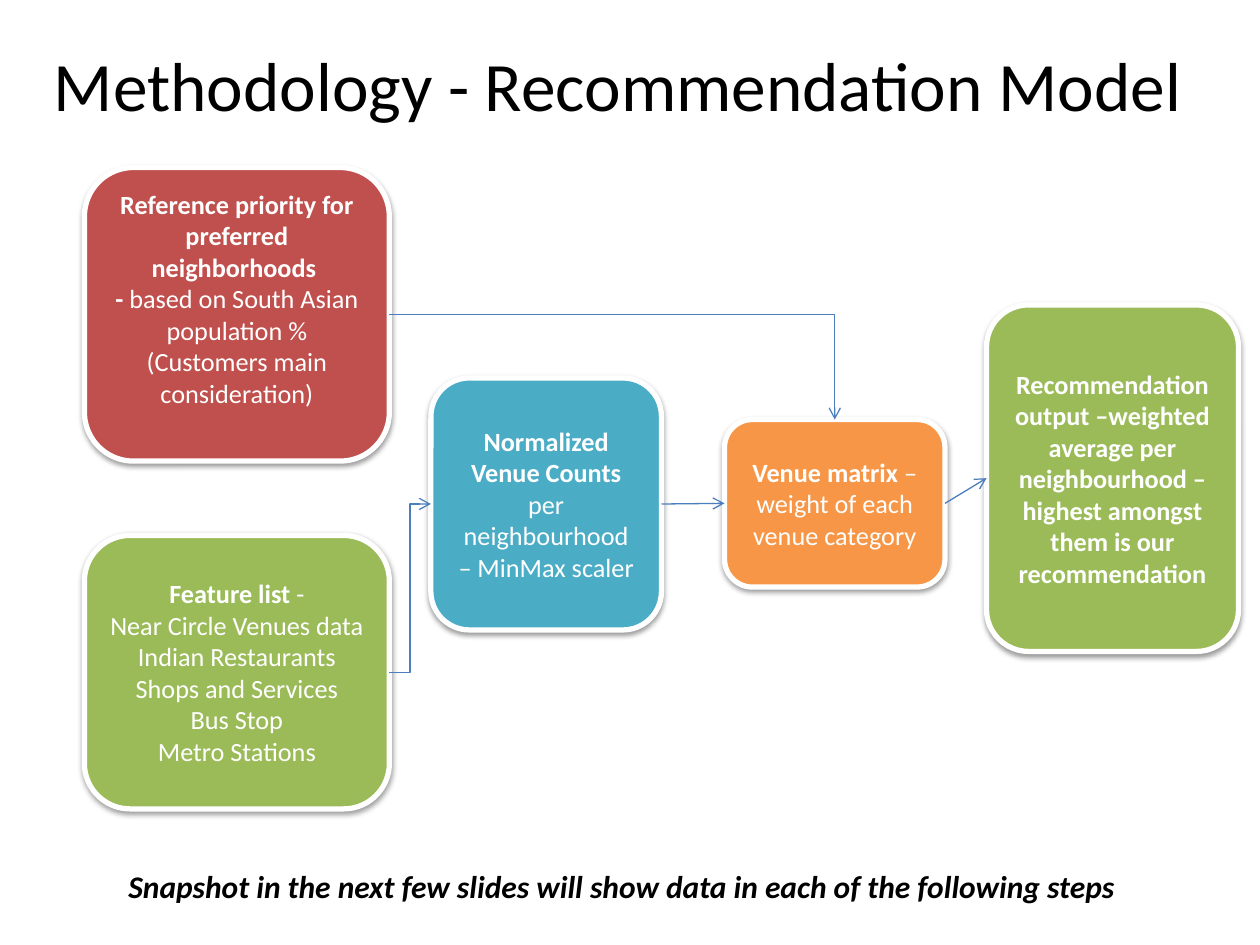
"""Build the recommendation model methodology slide."""
from lxml import etree
from pptx import Presentation
from pptx import util as u
from pptx.dml.color import RGBColor
from pptx.enum import shapes, text
from pptx.oxml import ns

COLORS = {"red": "C0504D", "green": "9BBB59", "orange": "F79646", "teal": "4BACC6",
          "arrow": "4B7EBC", "white": "FFFFFF", "black": "000000"}
TOP, LEFT, RIGHT = 0, 1, 3


def style(span, size, color, bold=False, italic=False):
    span.font.name = "Calibri"
    span.font.size = u.Pt(size)
    span.font.bold = bold
    span.font.italic = italic
    span.font.color.rgb = RGBColor.from_string(COLORS[color])


def add_child(parent, tag, **attributes):
    return etree.SubElement(parent, ns.qn(tag), attributes)


deck = Presentation()
deck.slide_width, deck.slide_height = u.Inches(10), u.Inches(7.5)
page = deck.slides.add_slide(deck.slide_layouts[6])

captions = [
    ("Methodology - Recommendation Model", (0.33, 0.08, 9.83, 1.17), 39.6, False),
    ("Snapshot in the next few slides will show data in each of the following steps",
     (0.92, 6.83, 8.25, 0.4), 18, True),
]
for wording, place, size, emphasis in captions:
    box = page.shapes.add_textbox(*map(u.Inches, place))
    box.text_frame.word_wrap = True
    box.text_frame.vertical_anchor = text.MSO_ANCHOR.MIDDLE
    box.text_frame.text = wording
    style(box.text_frame.paragraphs[0].runs[0], size, "black", emphasis, emphasis)

steps = {
    "reference": ("red", (0.67, 1.33, 2.42, 2.33), [
        [("Reference priority for preferred neighborhoods ", True)],
        [("- ", True),
         ("based on South Asian population % (Customers main consideration)", False)]]),
    "features": ("green", (0.67, 4.25, 2.42, 2.17), [
        [("Feature list ", True), ("-", False)],
        [("Near Circle Venues data Indian Restaurants", False)],
        [("Shops and Services", False)],
        [("Bus Stop", False)],
        [("Metro Stations", False)]]),
    "matrix": ("orange", (5.75, 3.33, 1.75, 1.33), [
        [("Venue matrix ", True), ("– weight of each venue category", False)]]),
    "output": ("green", (7.83, 2.42, 2, 2.75), [
        [("Recommendation output –weighted average per neighbourhood – "
          "highest amongst them is our recommendation", True)]]),
    "counts": ("teal", (3.42, 3, 1.83, 2), [
        [("Normalized Venue Counts ", True),
         ("per neighbourhood – MinMax scaler", False)]]),
}
boxes = {}
for name, (color, place, paragraphs) in steps.items():
    box = page.shapes.add_shape(shapes.MSO_SHAPE.ROUNDED_RECTANGLE, *map(u.Inches, place))
    boxes[name] = box
    box.fill.solid()
    box.fill.fore_color.rgb = RGBColor.from_string(COLORS[color])
    box.line.color.rgb = RGBColor.from_string(COLORS["white"])
    box.line.width = u.Pt(3)
    box.shadow.inherit = False
    effects = box._element.spPr.find(ns.qn("a:effectLst"))
    shadow = add_child(effects, "a:outerShdw", blurRad="40000", dist="20000",
                       dir="5400000", rotWithShape="0")
    shade = add_child(shadow, "a:srgbClr", val=COLORS["black"])
    add_child(shade, "a:alpha", val="38000")
    frame = box.text_frame
    frame.word_wrap = True
    frame.vertical_anchor = text.MSO_ANCHOR.MIDDLE
    for index, parts in enumerate(paragraphs):
        para = frame.paragraphs[0] if index == 0 else frame.add_paragraph()
        para.alignment = text.PP_ALIGN.CENTER
        for wording, bold in parts:
            span = para.add_run()
            span.text = wording
            style(span, 15, "white", bold)
boxes["reference"].text_frame.margin_bottom = u.Inches(0.3)

links = [
    ("reference", "matrix", TOP, "bentConnector2"),
    ("features", "counts", LEFT, "bentConnector3"),
    ("counts", "matrix", LEFT, "straightConnector1"),
    ("matrix", "output", LEFT, "straightConnector1"),
]
for start, end, side, preset in links:
    link = page.shapes.add_connector(shapes.MSO_CONNECTOR.ELBOW, 0, 0, 0, 0)
    link.begin_connect(boxes[start], RIGHT)
    link.end_connect(boxes[end], side)
    link.line.color.rgb = RGBColor.from_string(COLORS["arrow"])
    link.line.width = u.Pt(0.75)
    properties = link._element.spPr
    properties.find(ns.qn("a:prstGeom")).set("prst", preset)
    add_child(properties.find(ns.qn("a:ln")), "a:tailEnd", type="arrow")
    add_child(properties, "a:effectLst")

deck.save("out.pptx")
